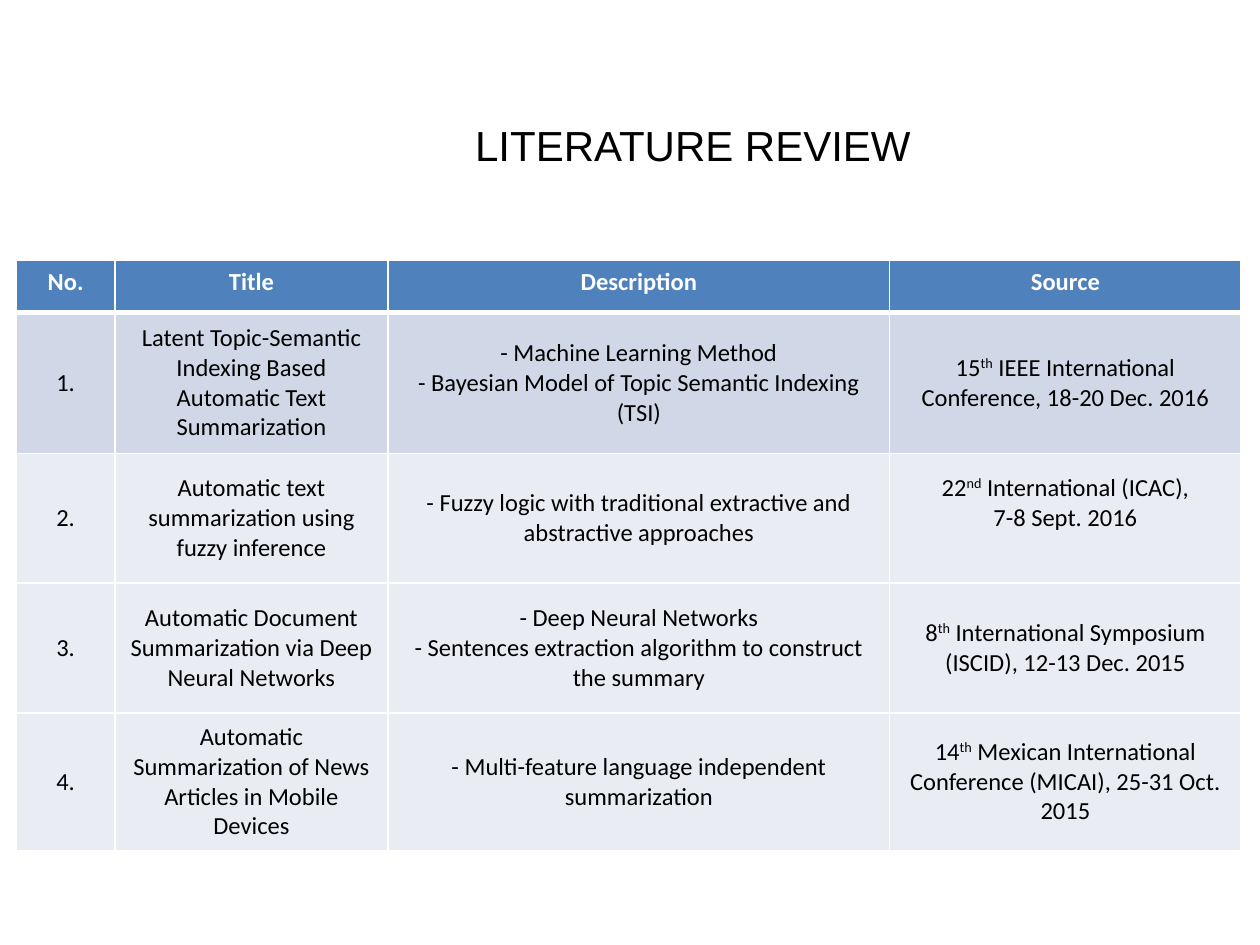
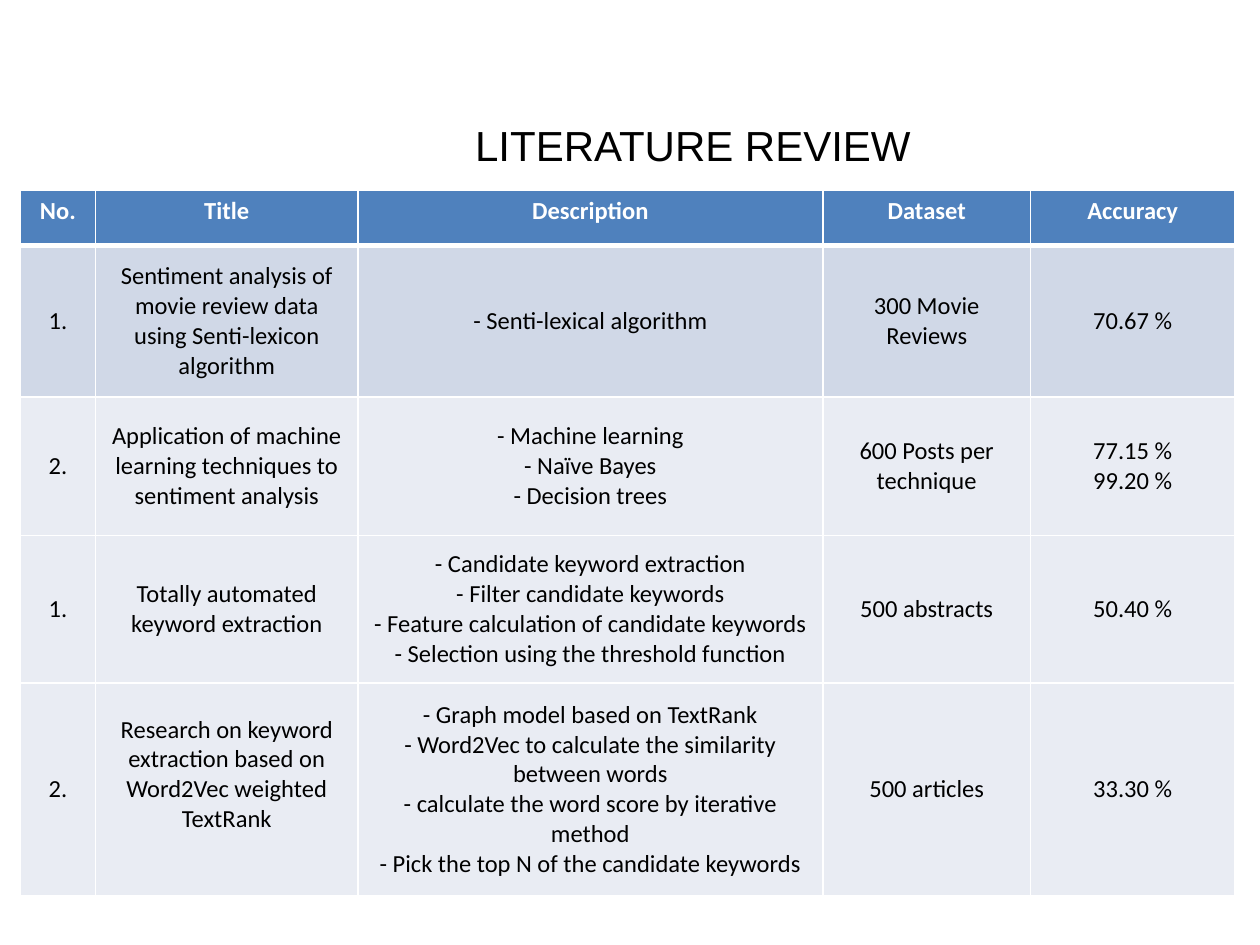
from dataclasses import dataclass

from lxml.etree import SubElement
from pptx import Presentation
from pptx.dml.color import RGBColor
from pptx.enum.text import MSO_ANCHOR as Anchor, PP_ALIGN as Align
from pptx.oxml.ns import qn
from pptx.util import Pt

COLORS = {
    "header": "4F81BD",
    "first": "D0D8E7",
    "body": "E9ECF3",
    "text": "000000",
    "line": "FFFFFF",
    "header_text": "FFFFFF",
}
THIN, THICK = 0.96, 3
MARGIN, LINE_HEIGHT = 3.6, 17.1


@dataclass
class ReviewTable:
    """A table of papers; "^" marks superscripts, a line break a new paragraph."""
    left: float
    top: float
    cols: list[float]
    heights: list[float]
    rows: list[list[str]]
    raised: tuple[int, int]  # row and column of the cell set half a line higher


REVIEWS = [
    ReviewTable(
        9.4, 149, [56.2, 156.2, 286.6, 200.9], [29.5, 80.6, 74.2, 74.2, 78.5],
        [
            ["No.", "Title", "Description", "Source"],
            ["1.", "Latent Topic-Semantic Indexing Based Automatic Text Summarization",
             "- Machine Learning Method\n- Bayesian Model of Topic Semantic Indexing (TSI)",
             "15^th^ IEEE International Conference, 18-20 Dec. 2016"],
            ["2.", "Automatic text summarization using fuzzy inference",
             "- Fuzzy logic with traditional extractive and abstractive approaches",
             "22^nd^ International (ICAC),\n7-8 Sept. 2016"],
            ["3.", "Automatic Document Summarization via Deep Neural Networks",
             "- Deep Neural Networks\n"
             "- Sentences extraction algorithm to construct the summary",
             "8^th^ International Symposium (ISCID), 12-13 Dec. 2015"],
            ["4.", "Automatic Summarization of News Articles in Mobile Devices",
             "- Multi-feature language independent summarization",
             "14^th^ Mexican International Conference (MICAI), 25-31 Oct. 2015"],
        ],
        raised=(2, 3),
    ),
    ReviewTable(
        11.5, 108.7, [43.2, 149.8, 265.7, 118.8, 116.6], [31.7, 86.4, 79.2, 84.2, 121.7],
        [
            ["No.", "Title", "Description", "Dataset", "Accuracy"],
            ["1.", "Sentiment analysis of movie review data using Senti-lexicon algorithm",
             "- Senti-lexical algorithm", "300 Movie Reviews", "70.67 %"],
            ["2.", "Application of machine learning techniques to sentiment analysis",
             "- Machine learning\n- Naïve Bayes\n- Decision trees",
             "600 Posts per technique", "77.15 %\n99.20 %"],
            ["1.", "Totally automated keyword extraction",
             "- Candidate keyword extraction\n- Filter candidate keywords\n"
             "- Feature calculation of candidate keywords\n"
             "- Selection using the threshold function",
             "500 abstracts", "50.40 %"],
            ["2.", "Research on keyword extraction based on Word2Vec weighted TextRank",
             "- Graph model based on TextRank\n"
             "- Word2Vec to calculate the similarity between words\n"
             "- calculate the word score by iterative method\n"
             "- Pick the top N of the candidate keywords",
             "500 articles", "33.30 %"],
        ],
        raised=(4, 1),
    ),
]


def rgb(name: str) -> RGBColor:
    return RGBColor.from_string(COLORS[name])


def write(tf, text: str, font: str, size: float, color: str, bold: bool = False) -> None:
    """Fill a text frame with centred paragraphs."""
    for i, line in enumerate(text.split("\n")):
        p = tf.add_paragraph() if i else tf.paragraphs[0]
        p.alignment = Align.CENTER
        p.font.name, p.font.size, p.font.bold = font, Pt(size), bold
        p.font.color.rgb = rgb(color)
        for j, part in enumerate(line.split("^")):
            r = p.add_run()
            r.text = part
            if j % 2:
                r._r.get_or_add_rPr().set("baseline", "33000")


def add_borders(cell, top: float, bottom: float) -> None:
    tc_pr = cell._tc.get_or_add_tcPr()
    for side, width in (("L", THIN), ("R", THIN), ("T", top), ("B", bottom)):
        ln = SubElement(tc_pr, qn(f"a:ln{side}"), w=str(Pt(width)))
        fill = SubElement(ln, qn("a:solidFill"))
        SubElement(fill, qn("a:srgbClr"), val=COLORS["line"])


def add_title(s) -> None:
    tf = s.shapes.add_textbox(Pt(259.2), Pt(64.8), Pt(273.6), Pt(36)).text_frame
    tf.word_wrap = True
    write(tf, "LITERATURE REVIEW", "Arial", 24, "text")


def add_review(s, review: ReviewTable) -> None:
    table = s.shapes.add_table(
        len(review.heights), len(review.cols), Pt(review.left), Pt(review.top),
        Pt(sum(review.cols)), Pt(sum(review.heights))).table
    for col, width in zip(table.columns, review.cols):
        col.width = Pt(width)
    for i, (row, height) in enumerate(zip(table.rows, review.heights)):
        row.height = Pt(height)
        header = i == 0
        fill = ("header", "first")[i] if i < 2 else "body"
        for j, (cell, text) in enumerate(zip(row.cells, review.rows[i])):
            add_borders(cell, THICK if i == 1 else THIN, THICK if header else THIN)
            cell.fill.solid()
            cell.fill.fore_color.rgb = rgb(fill)
            cell.vertical_anchor = Anchor.TOP if header else Anchor.MIDDLE
            if (i, j) == review.raised:
                cell.margin_bottom = Pt(MARGIN + LINE_HEIGHT)
            write(cell.text_frame, text, "Calibri", 14,
                  "header_text" if header else "text", header)


def main() -> None:
    prs = Presentation()
    prs.slide_width, prs.slide_height = Pt(720), Pt(540)
    for review in REVIEWS:
        s = prs.slides.add_slide(prs.slide_layouts[6])
        add_title(s)
        add_review(s, review)
    prs.save("out.pptx")


if __name__ == "__main__":
    main()
